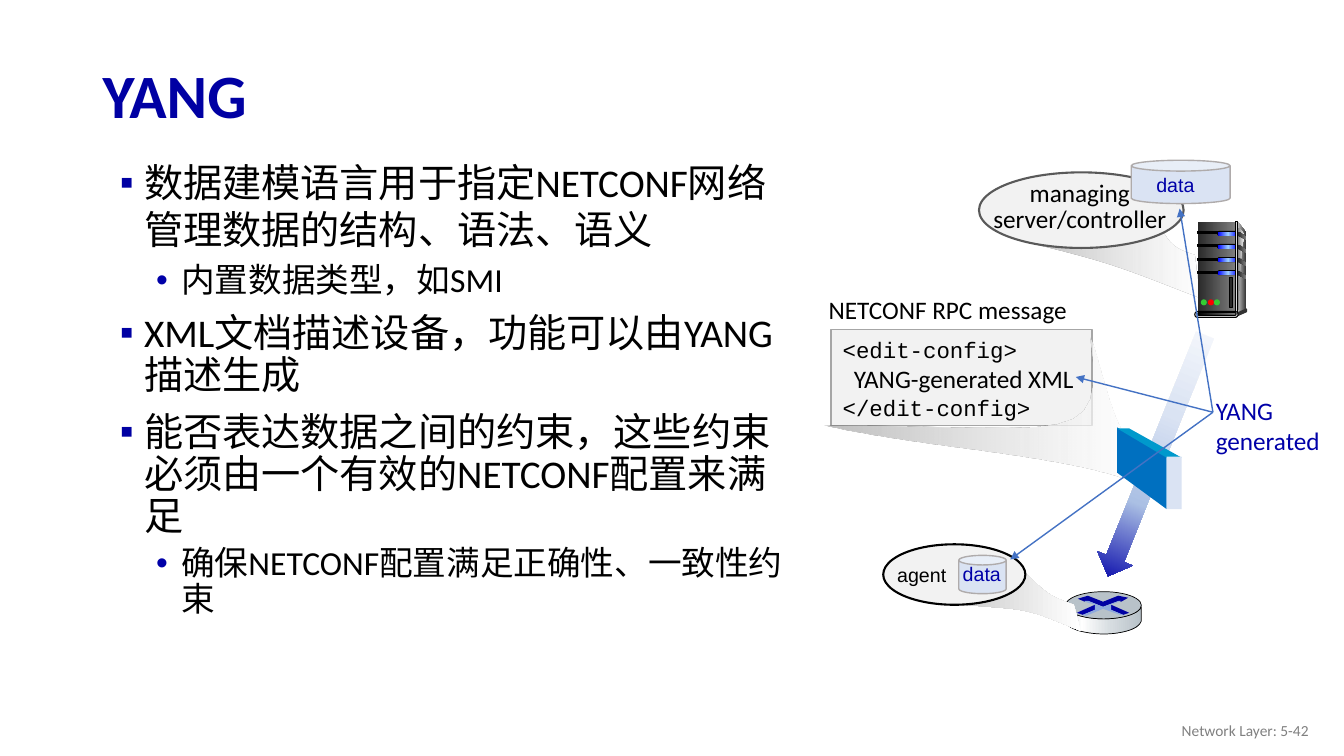
from dataclasses import dataclass
from lxml.etree import SubElement
from pptx import Presentation
from pptx.dml.color import RGBColor
from pptx.enum.shapes import MSO_CONNECTOR, MSO_SHAPE as SHAPE
from pptx.enum.text import MSO_ANCHOR as ANCHOR, MSO_AUTO_SIZE as AUTO, PP_ALIGN as ALIGN
from pptx.oxml.ns import qn
from pptx.util import Inches, Pt

COLUMNS, ROWS = 1333, 750
CELL = Inches(0.01)
NAVY, INDIGO, BLACK, PALE, DATA_FILL = "0000A3", "0000A8", "000000", "F2F2F2", "DAE3F3"
BEAM = [(1, "BFBFBF"), (100, "FFFFFF")]
CLEAR_BEAM = [(1, "BFBFBF"), (100, "FFFFFF", 68)]
STEEL = [(0, "292929"), (100, "808080")]
LAMP = [(0, "0000FF"), (50, "99CCFF"), (100, "0000FF")]


def rgb(color):
    return RGBColor.from_string(color)


def paint(shape, fill, line=None, weight=0.75):
    shape.shadow.inherit = False
    if isinstance(fill, str):
        shape.fill.solid()
        shape.fill.fore_color.rgb = rgb(fill)
    else:
        shape.fill.gradient()
        shape.fill.gradient_angle = 0
        stops = shape._element.spPr.find(qn("a:gradFill")).find(qn("a:gsLst"))
        stops.clear()
        for share, color, *alpha in fill:
            stop = SubElement(stops, qn("a:gs"), pos=str(share * 1000))
            tint = SubElement(stop, qn("a:srgbClr"), val=color)
            for percent in alpha:
                SubElement(tint, qn("a:alpha"), val=str(percent * 1000))
    if line:
        shape.line.color.rgb = rgb(line)
        shape.line.width = Pt(weight)
    else:
        shape.line.fill.background()


def write(frame, text, size=18, font="Calibri", color=BLACK, bold=False, align=ALIGN.LEFT,
          spacing=1.0, before=0, margin=0, hanging=0, bullet=None, bullet_color=NAVY):
    blank = len(frame.paragraphs) == 1 and not frame.paragraphs[0].runs
    paragraph = frame.paragraphs[0] if blank else frame.add_paragraph()
    paragraph.alignment, paragraph.line_spacing = align, spacing
    paragraph.space_before = Pt(before)
    run = paragraph.add_run()
    run.text = text
    run.font.size, run.font.name, run.font.bold = Pt(size), font, bold
    run.font.color.rgb = rgb(color)
    layout = paragraph._p.get_or_add_pPr()
    layout.set("marL", str(Inches(margin)))
    layout.set("indent", str(-Inches(hanging)))
    if bullet:
        tint = SubElement(layout, qn("a:buClr"))
        SubElement(tint, qn("a:srgbClr"), val=bullet_color)
        SubElement(layout, qn("a:buFont"), typeface="Arial")
        SubElement(layout, qn("a:buChar"), char=bullet)


def curve(start, controls, steps=12):
    ends = [start, controls[:2], controls[2:4], controls[4:]]
    for step in range(1, steps + 1):
        t = step / steps
        weights = ((1 - t) ** 3, 3 * t * (1 - t) ** 2, 3 * t * t * (1 - t), t ** 3)
        yield tuple(sum(w * end[axis] for w, end in zip(weights, ends)) for axis in (0, 1))


@dataclass
class Region:
    shapes: object
    left: int
    top: int

    def spot(self, x, y):
        return round((self.left + x) * CELL), round((self.top + y) * CELL)

    def shape(self, kind, x, y, width, height, fill, line=None, weight=0.75):
        part = self.shapes.add_shape(kind, *self.spot(x, y), width * CELL, height * CELL)
        paint(part, fill, line, weight)
        if kind == SHAPE.ROUNDED_RECTANGLE:
            part.adjustments[0] = 0.5
        return part

    def outline(self, points, fill, line=None, weight=0.5):
        corners = [points[0]]
        for point in points[1:]:
            corners += [point] if len(point) == 2 else curve(corners[-1], point)
        builder = self.shapes.build_freeform(*self.spot(*corners[0]))
        builder.add_line_segments([self.spot(*corner) for corner in corners[1:]], close=True)
        paint(builder.convert_to_shape(), fill, line, weight)

    def text(self, x, y, width, height, *lines, wrap=True, anchor=ANCHOR.TOP, **style):
        frame = self.shapes.add_textbox(*self.spot(x, y), width * CELL, height * CELL).text_frame
        frame.word_wrap = wrap
        frame.auto_size = AUTO.NONE if wrap else AUTO.SHAPE_TO_FIT_TEXT
        frame.vertical_anchor = anchor
        for line in lines:
            text, extra = (line, {}) if isinstance(line, str) else line
            write(frame, text, **{**style, **extra})

    def arrow(self, start, end):
        link = self.shapes.add_connector(MSO_CONNECTOR.STRAIGHT, *self.spot(*start), *self.spot(*end))
        link.line.color.rgb = rgb("4472C4")
        link.line.width = Pt(1)
        properties = link._element.spPr
        SubElement(properties.find(qn("a:ln")), qn("a:tailEnd"), type="triangle")
        SubElement(properties, qn("a:effectLst"))


def draw_body(box):
    main = dict(size=28, before=10, margin=0.39, hanging=0.24, bullet="▪")
    detail = dict(size=24, before=5, margin=0.76, hanging=0.25, bullet="•", bullet_color=INDIGO)
    tight = dict(spacing=0.9)
    box.text(0, 0, 697, 566,
             ("数据建模语言用于指定NETCONF网络管理数据的结构、语法、语义", main),
             ("内置数据类型，如SMI", detail),
             ("XML文档描述设备，功能可以由YANG描述生成", main | tight),
             ("能否表达数据之间的约束，这些约束必须由一个有效的NETCONF配置来满足", main | tight),
             ("确保NETCONF配置满足正确性、一致性约束", detail | tight))


def draw_router(box):
    box.outline([(75, 15), (75, 29), (72, 39, 50, 42, 38, 42), (25, 42, 2, 39, 0, 29),
                 (0, 25, 0, 18, 0, 15), (3, 23, 25, 27, 37, 27), (49, 27, 71, 24, 75, 15)],
                [(0, "B8C2C9"), (21, "FFFFFF"), (60, "D6DCE0"), (100, "B8C2C9")], BLACK)
    box.shape(SHAPE.OVAL, 0, 0, 75, 27, "B8C2C9", BLACK, 0.5)
    box.outline([(52, 4), (62, 6), (55, 10), (53, 9), (37, 15), (22, 9), (19, 10), (12, 7),
                 (22, 4), (37, 10)], NAVY)
    box.outline([(45, 13), (63, 21), (57, 23), (45, 18)], NAVY)
    box.outline([(29, 13), (29, 18), (17, 23), (11, 21)], INDIGO)
    box.outline([(19, 9), (22, 9), (37, 15), (53, 9), (55, 9), (45, 13), (45, 18), (57, 23),
                 (54, 23), (37, 17), (20, 24), (17, 23), (29, 18), (29, 13), (19, 10)], "8FAADC")


def draw_agent(box):
    box.outline([(189, 60), (164, 51, 161, 50, 129, 15), (44, 57), (152, 67, 130, 59, 196, 86)], BEAM)
    box.shape(SHAPE.OVAL, 0, 0, 141, 60, PALE, BLACK, 1.5)
    box.text(4, 14, 69, 34, "agent", wrap=False, size=14, font="Arial")
    box.shape(SHAPE.CAN, 75, 11, 47, 38, DATA_FILL, "AFABAB", 1)
    box.text(69, 13, 58, 34, "data", wrap=False, size=14, font="Arial", color=INDIGO)


def draw_manager(box):
    box.outline([(214, 94), (196, 89, 190, 84, 183, 72), (127, 86, 131, 91, 44, 81),
                 (138, 103, 147, 109, 219, 136)], CLEAR_BEAM)
    box.shape(SHAPE.OVAL, 0, 12, 203, 75, PALE, "595959", 1.5)
    box.text(2, 17, 196, 62, "managing", "server/controller", align=ALIGN.CENTER, spacing=0.85)
    box.shape(SHAPE.CAN, 151, 0, 98, 43, DATA_FILL, "AFABAB", 1)
    box.text(166, 8, 65, 34, "data", size=14, font="Arial", color=INDIGO)


def draw_server(box):
    box.outline([(43, 0), (51, 11), (51, 87), (41, 90)], [(0, "DDDDDD"), (100, "333333")])
    box.shape(SHAPE.RECTANGLE, 3, 0, 38, 90, STEEL)
    box.outline([(43, 6), (43, 6, 45, 6, 49, 13), (43, 46, 44, 89, 43, 88)],
                [(0, "808080"), (100, "F8F8F8")])
    for y in range(9, 60, 13):
        box.shape(SHAPE.RECTANGLE, 3, y + 1, 21, 2, BLACK, BLACK)
        box.shape(SHAPE.ROUNDED_RECTANGLE, 22, y, 21, 5, BLACK)
        box.shape(SHAPE.ROUNDED_RECTANGLE, 23, y + 1, 20, 4, LAMP)
        box.outline([(43, y + 1), (44, y + 1, 47, y + 3, 51, y + 6), (51, y + 9),
                     (51, y + 9, 48, y + 7, 43, y + 5)], STEEL)
    box.shape(SHAPE.RECTANGLE, 40, 0, 2, 90, [(0, "333333"), (50, "DDDDDD"), (100, "333333")], BLACK)
    box.shape(SHAPE.OVAL, 50, 86, 2, 4, "333333")
    box.outline([(42, 90), (42, 94), (51, 90), (51, 86)], "333333")
    box.shape(SHAPE.ROUNDED_RECTANGLE, 0, 89, 43, 6, "DDDDDD", BLACK)
    box.shape(SHAPE.ROUNDED_RECTANGLE, 3, 90, 38, 3, [(0, BLACK), (100, "808080")], BLACK)
    for x, light in ((6, "33CC33"), (13, "FF0000"), (19, "33CC33")):
        box.shape(SHAPE.OVAL, x, 77, 6, 6, light)
    box.shape(SHAPE.RECTANGLE, 34, 55, 3, 30, "292929", BLACK)


def draw_message(box):
    code = dict(size=16, font="Courier New")
    box.text(0, 0, 263, 40, "NETCONF RPC message")
    box.shape(SHAPE.RECTANGLE, 12, 40, 259, 95, PALE, "A6A6A6", 1)
    box.text(14, 42, 263, 94, ("<edit-config>", code), ("YANG-generated XML", dict(margin=0.11)),
             ("</edit-config>", code))
    box.outline([(309, 149), (292, 144, 276, 60, 269, 48), (283, 161, 255, 135, 6, 135),
                 (100, 157, 238, 163, 310, 190)], CLEAR_BEAM)


def draw_slab(box):
    box.outline([(0, 0), (0, 45), (49, 81), (49, 28)], "0070C0")
    box.outline([(12, 1), (0, 1), (49, 30), (64, 30)], "0099CC")
    box.shape(SHAPE.RECTANGLE, 49, 29, 15, 52, DATA_FILL)


def draw_yang_links(box):
    box.text(194, 180, 125, 71, "YANG", "generated", wrap=False, color=INDIGO)
    for target in ((168, 0), (0, 348), (65, 167)):
        box.arrow((201, 202), target)


def main():
    deck = Presentation()
    deck.slide_width, deck.slide_height = COLUMNS * CELL, ROWS * CELL
    shapes = deck.slides.add_slide(deck.slide_layouts[6]).shapes
    draw_body(Region(shapes, 94, 152))
    page = Region(shapes, 0, 0)
    page.text(92, 49, 1150, 98, "YANG", anchor=ANCHOR.MIDDLE, size=44, color=NAVY, bold=True, spacing=0.9)
    page.text(1008, 705, 300, 40, "Network Layer: 5-42", anchor=ANCHOR.MIDDLE, size=11,
              color="808080", align=ALIGN.RIGHT)
    draw_router(Region(shapes, 1057, 587))
    draw_agent(Region(shapes, 876, 540))
    draw_manager(Region(shapes, 971, 159))
    draw_server(Region(shapes, 1185, 220))
    flow = page.shape(SHAPE.RIGHT_ARROW, 1018, 433, 258, 38,
                      [(0, "F6F8FC"), (35, DATA_FILL), (68, "ABC0E4"), (100, INDIGO)])
    flow.rotation = 111.9
    draw_message(Region(shapes, 812, 287))
    draw_slab(Region(shapes, 1108, 424))
    draw_yang_links(Region(shapes, 1002, 207))
    deck.save("out.pptx")


if __name__ == "__main__":
    main()
